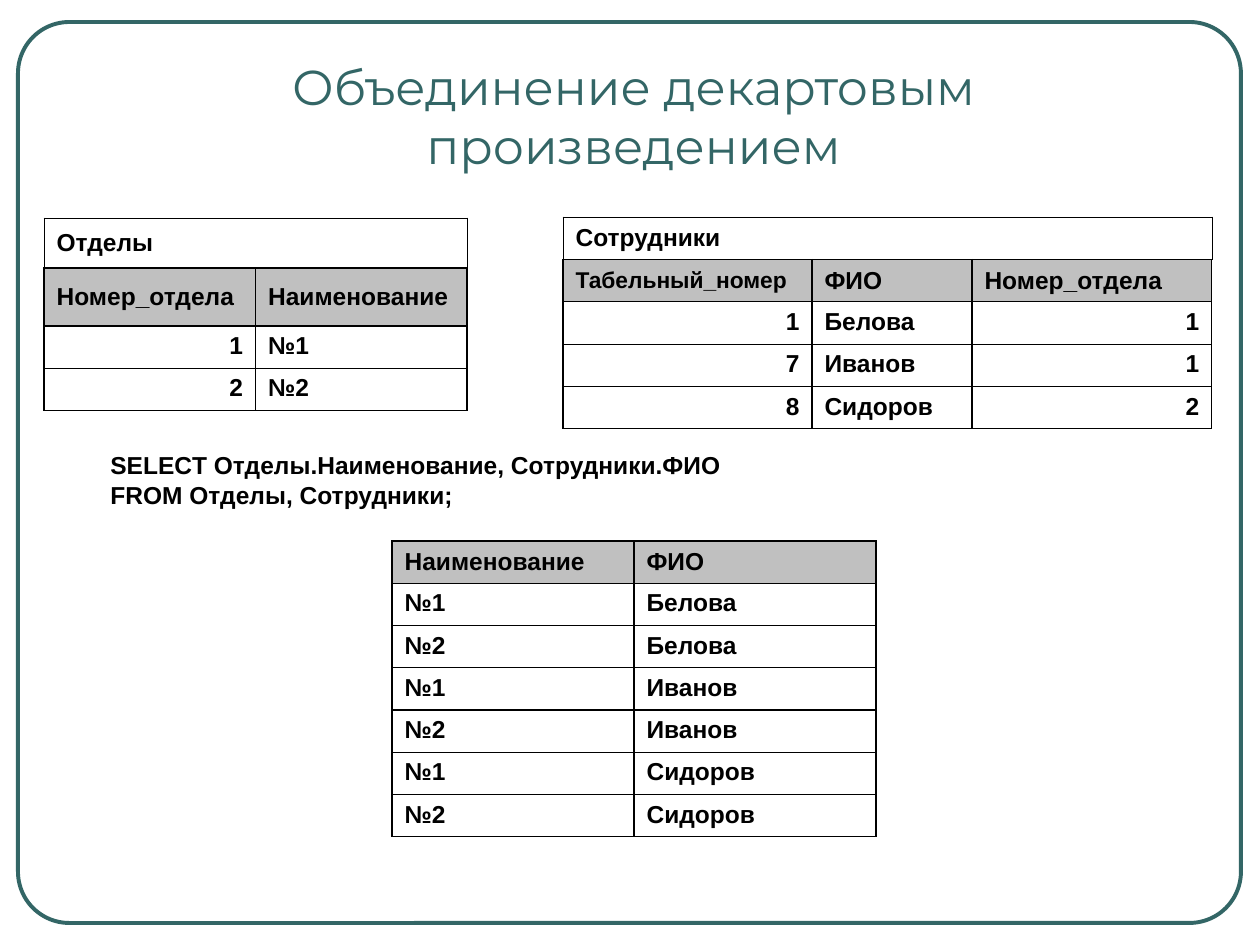
from lxml.etree import SubElement
from pptx import Presentation
from pptx.dml.color import RGBColor
from pptx.enum.shapes import MSO_SHAPE as Shape
from pptx.enum.text import MSO_ANCHOR as Anchor, MSO_AUTO_SIZE as AutoSize, PP_ALIGN as Align
from pptx.oxml.ns import qn
from pptx.util import Pt

EMU_PER_PX = 914400 / 126
COLORS = {"teal": "336666", "black": "000000", "white": "FFFFFF", "header": "C0C0C0"}


def px(length):
    return round(length * EMU_PER_PX)


def color(name):
    return RGBColor.from_string(COLORS[name])


def style(paragraph, size=14, font="Arial", ink="black", bold=True, align=Align.LEFT):
    paragraph.alignment = align
    paragraph.font.size = Pt(size)
    paragraph.font.name = font
    paragraph.font.bold = bold
    paragraph.font.color.rgb = color(ink)


def set_borders(cell, widths):
    """Draw black cell borders; widths holds points by side: L, R, T, B."""
    properties = cell._tc.get_or_add_tcPr()
    for side, width in widths.items():
        line = SubElement(properties, qn(f"a:ln{side}"), w=str(Pt(width)))
        fill = SubElement(line, qn("a:solidFill"))
        SubElement(fill, qn("a:srgbClr"), val=COLORS["black"])


def add_frame(slide, box):
    frame = slide.shapes.add_shape(Shape.ROUNDED_RECTANGLE, *map(px, box))
    frame.adjustments[0] = 0.057
    frame.shadow.inherit = False
    frame.fill.background()
    frame.line.color.rgb = color("teal")
    frame.line.width = Pt(2.25)


def add_title(slide, box, text):
    title = slide.shapes.title
    title.left, title.top, title.width, title.height = map(px, box)
    frame = title.text_frame
    frame.text = text
    frame.auto_size = AutoSize.NONE
    frame.vertical_anchor = Anchor.TOP
    style(frame.paragraphs[0], 28, "Montserrat", "teal", False, Align.CENTER)


def add_query(slide, box, lines):
    frame = slide.shapes.add_textbox(*map(px, box)).text_frame
    frame.word_wrap = True
    frame.text = "\n".join(lines)
    for paragraph in frame.paragraphs:
        style(paragraph)


def add_relation(slide, box, header, records, caption=None, columns=None,
                 top_rows=(), header_size=14):
    """Add a database table; rows after top_rows share the remaining height."""
    captions = [[caption] + [""] * (len(header) - 1)] if caption else []
    rows = captions + [header] + records
    header_row = len(captions)
    _, _, width, height = box
    columns = columns or [width / len(header)] * len(header)
    shared = len(rows) - len(top_rows)
    heights = list(top_rows) + [(height - sum(top_rows)) / shared] * shared

    table = slide.shapes.add_table(len(rows), len(header), *map(px, box)).table
    table.first_row = table.horz_banding = False
    for column, column_width in zip(table.columns, columns):
        column.width = px(column_width)
    for row, row_height in zip(table.rows, heights):
        row.height = px(row_height)
    if caption:
        table.cell(0, 0).merge(table.cell(0, len(header) - 1))

    for r, values in enumerate(rows):
        outer = 0.45 if r < header_row else 0.75
        for c, value in enumerate(values):
            cell = table.cell(r, c)
            set_borders(cell, {"L": outer, "R": outer, "T": outer, "B": 0.75})
            cell.fill.solid()
            cell.fill.fore_color.rgb = color("header" if r == header_row else "white")
            cell.vertical_anchor = Anchor.MIDDLE if r <= header_row else Anchor.TOP
            cell.text = value
            size = header_size if r == header_row and c == 0 else 14
            style(cell.text_frame.paragraphs[0], size,
                  align=Align.RIGHT if value.isdigit() else Align.LEFT)


def build_join_slide(slide):
    departments = [["1", "№1"], ["2", "№2"]]
    employees = [["1", "Белова", "1"], ["7", "Иванов", "1"], ["8", "Сидоров", "2"]]
    product = [[department, name] for _, name, _ in employees
               for _, department in departments]

    add_frame(slide, (18, 22, 1223, 901))
    add_title(slide, (103, 50, 1061, 92), "Объединение декартовым произведением")
    add_relation(slide, (44, 218, 423, 193), ["Номер_отдела", "Наименование"],
                 departments, caption="Отделы", top_rows=(50, 58))
    add_relation(slide, (563, 217, 649, 212), ["Табельный_номер", "ФИО", "Номер_отдела"],
                 employees, caption="Сотрудники", columns=[249, 160, 240], header_size=13)
    add_query(slide, (98, 444, 1094, 72),
              ["SELECT Отделы.Наименование, Сотрудники.ФИО", "FROM Отделы, Сотрудники;"])
    add_relation(slide, (392, 541, 484, 296), ["Наименование", "ФИО"], product)


def main():
    deck = Presentation()
    deck.slide_width, deck.slide_height = px(1260), px(945)
    build_join_slide(deck.slides.add_slide(deck.slide_layouts[5]))
    deck.save("out.pptx")


if __name__ == "__main__":
    main()
